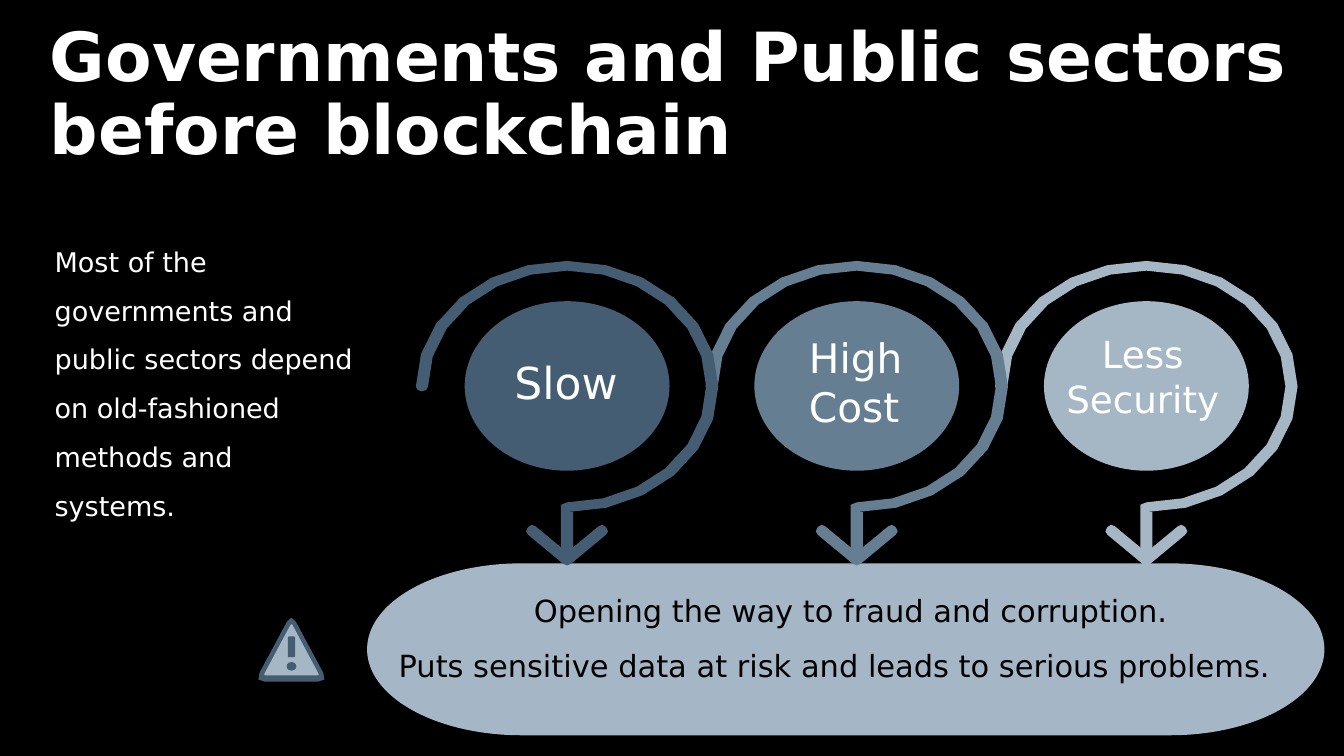
from dataclasses import dataclass
from math import cos, dist, radians, sin

from pptx import Presentation
from pptx.dml.color import RGBColor
from pptx.enum.shapes import MSO_SHAPE as Preset
from pptx.enum.text import MSO_ANCHOR as Anchor, MSO_AUTO_SIZE as AutoSize, PP_ALIGN as Align
from pptx.util import Inches, Pt


@dataclass(frozen=True)
class Theme:
    font: str = "DejaVu Sans"
    background: str = "000000"
    light_text: str = "FFFFFF"
    dark_text: str = "000000"
    dark: str = "445D73"
    middle: str = "667E92"
    light: str = "A5B7C5"
    banner: str = "A5B7C6"
    title_size: int = 40
    slow_size: int = 26
    cost_size: int = 24
    security_size: int = 22
    banner_size: int = 18
    intro_size: int = 16


THEME = Theme()


# Shared drawing helpers
def paint(shape, color):
    shape.fill.solid()
    shape.fill.fore_color.rgb = RGBColor.from_string(color)
    shape.line.fill.background()
    shape.shadow.inherit = False


def add_preset(slide, preset, box, color):
    paint(slide.shapes.add_shape(preset, *map(Inches, box)), color)


def add_outline(slide, points, color):
    first, *rest = [(Inches(x), Inches(y)) for x, y in points]
    builder = slide.shapes.build_freeform(*first)
    builder.add_line_segments(rest, close=True)
    paint(builder.convert_to_shape(), color)


def arc(cx, cy, rx, ry, start, end, step=15):
    direction = step if end > start else -step
    angles = [radians(a) for a in range(start, end + direction, direction)]
    return [(cx + rx * cos(a), cy + ry * sin(a)) for a in angles]


def rounded(corners, cut):
    """Replace each corner by three points on a curve around it."""
    points = []
    for i, corner in enumerate(corners):
        before, after = (
            [c + (n - c) * cut / dist(corner, neighbor) for c, n in zip(corner, neighbor)]
            for neighbor in (corners[i - 1], corners[(i + 1) % len(corners)]))
        middle = [(a + 2 * c + b) / 4 for a, c, b in zip(before, corner, after)]
        points += [before, middle, after]
    return points


def style(paragraph, size, color, align=Align.LEFT, spacing=1.0, bold=False):
    paragraph.alignment = align
    paragraph.line_spacing = spacing
    paragraph.space_before = Pt(0)
    font = paragraph.font
    font.name, font.size, font.bold = THEME.font, Pt(size), bold
    font.color.rgb = RGBColor.from_string(color)


def add_text(slide, box, lines, size, color, spacing=1.0):
    frame = slide.shapes.add_textbox(*map(Inches, box)).text_frame
    frame.word_wrap = True
    for i, (text, align) in enumerate(lines):
        paragraph = frame.add_paragraph() if i else frame.paragraphs[0]
        paragraph.text = text
        style(paragraph, size, color, align, spacing)


# Title
def add_title(slide, box):
    title = slide.shapes.title
    title.left, title.top, title.width, title.height = map(Inches, box)
    frame = title.text_frame
    frame.text = "Governments and Public sectors before blockchain"
    frame.word_wrap = True
    frame.auto_size = AutoSize.NONE
    frame.vertical_anchor = Anchor.MIDDLE
    style(frame.paragraphs[0], THEME.title_size, THEME.light_text, spacing=0.9, bold=True)


# Introduction on the left
def add_intro(slide, box):
    intro = "Most of the governments and public sectors depend on old-fashioned methods and systems."
    add_text(slide, box, [(intro, Align.LEFT)], THEME.intro_size, THEME.light_text, 1.5)


# One drawback: disc, ring with a stem, arrowhead
def add_drawback(slide, box, color):
    left, top, width, _ = box
    rx, ry, stem = width / 2, 1.03, 0.05
    cx, cy = left + rx, top + ry
    add_preset(slide, Preset.OVAL, (cx - 0.84, top + 0.33, 1.68, 1.39), color)

    ring = arc(cx, cy, rx, ry, 180, 450)
    ring += [(cx + stem, cy + ry), (cx + stem, top + 2.4),
             (cx - stem, top + 2.4), (cx - stem, top + 2)]
    ring += arc(cx, cy, rx - 2 * stem, ry - 0.08, 450, 180)
    ring += arc(left + stem, cy, stem, 0.04, 45, 135, 45)
    add_outline(slide, ring, color)

    arrowhead = [(-0.29, 2.15), (0, 2.39), (0.29, 2.15),
                 (0.35, 2.22), (0, 2.51), (-0.35, 2.22)]
    add_outline(slide, rounded([(cx + x, top + y) for x, y in arrowhead], 0.04), color)


def add_drawbacks(slide, box):
    left, top, width, height = box
    ring_width = 2.48
    # Label boxes are relative to the ring box
    drawbacks = [
        ("Slow ", Align.CENTER, THEME.slow_size, THEME.dark, (0.62, 0.73, 1.34, 0.53)),
        ("High Cost", Align.LEFT, THEME.cost_size, THEME.middle, (0.75, 0.54, 1, 0.9)),
        ("Less Security", Align.CENTER, THEME.security_size, THEME.light, (0.42, 0.53, 1.58, 0.83)),
    ]
    pitch = (width - ring_width) / (len(drawbacks) - 1)
    # Each ring overlaps the one to its right
    for i, (label, align, size, color, (x, y, w, h)) in reversed(list(enumerate(drawbacks))):
        ring_left = left + i * pitch
        add_drawback(slide, (ring_left, top, ring_width, height), color)
        add_text(slide, (ring_left + x, top + y, w, h), [(label, align)], size, THEME.light_text)


# Consequences banner
def add_banner(slide, box):
    left, top, width, _ = box
    add_preset(slide, Preset.FLOWCHART_TERMINATOR, box, THEME.banner)
    consequences = [
        ("Opening the way to fraud and corruption. ", Align.CENTER),
        ("Puts sensitive data at risk and leads to serious problems.", Align.LEFT),
    ]
    add_text(slide, (left + 0.16, top + 0.04, width - 0.16, 1), consequences,
             THEME.banner_size, THEME.dark_text, 1.5)


# Warning sign
def add_warning(slide, box):
    left, top, width, height = box
    cx, bottom = left + width / 2, top + height

    def triangle(apex, half_base, base, cut, color):
        corners = [(cx, apex), (cx + half_base, base), (cx - half_base, base)]
        add_outline(slide, rounded(corners, cut), color)

    triangle(top - 0.04, 0.3, bottom, 0.08, THEME.dark)
    triangle(top + 0.04, 0.23, bottom - 0.05, 0.02, THEME.light)
    add_preset(slide, Preset.OVAL, (cx - 0.04, top + 0.36, 0.08, 0.07), THEME.dark)
    add_preset(slide, Preset.ROUNDED_RECTANGLE, (cx - 0.03, top + 0.15, 0.06, 0.17), THEME.dark)


def main():
    deck = Presentation()
    deck.slide_width, deck.slide_height = Inches(11.02), Inches(6.2)
    slide = deck.slides.add_slide(deck.slide_layouts[5])
    slide.background.fill.solid()
    slide.background.fill.fore_color.rgb = RGBColor.from_string(THEME.background)

    add_title(slide, (0.31, 0.46, 10.46, 0.65))
    add_intro(slide, (0.35, 1.83, 2.65, 2.49))
    add_banner(slide, (3.01, 4.62, 7.85, 1.41))
    add_drawbacks(slide, (3.41, 2.14, 7.23, 2.5))
    add_warning(slide, (2.11, 5.07, 0.56, 0.52))
    deck.save("out.pptx")


if __name__ == "__main__":
    main()
